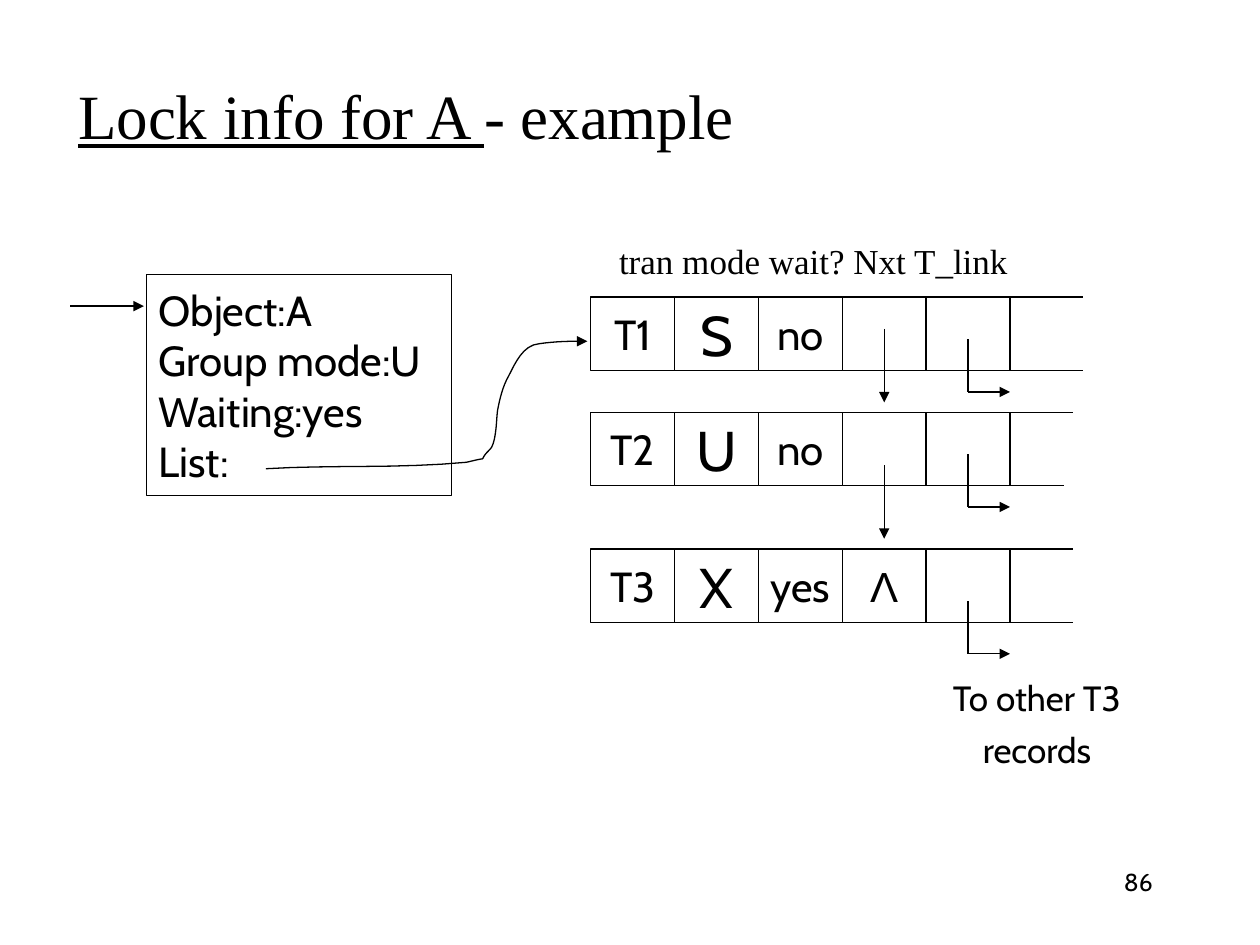
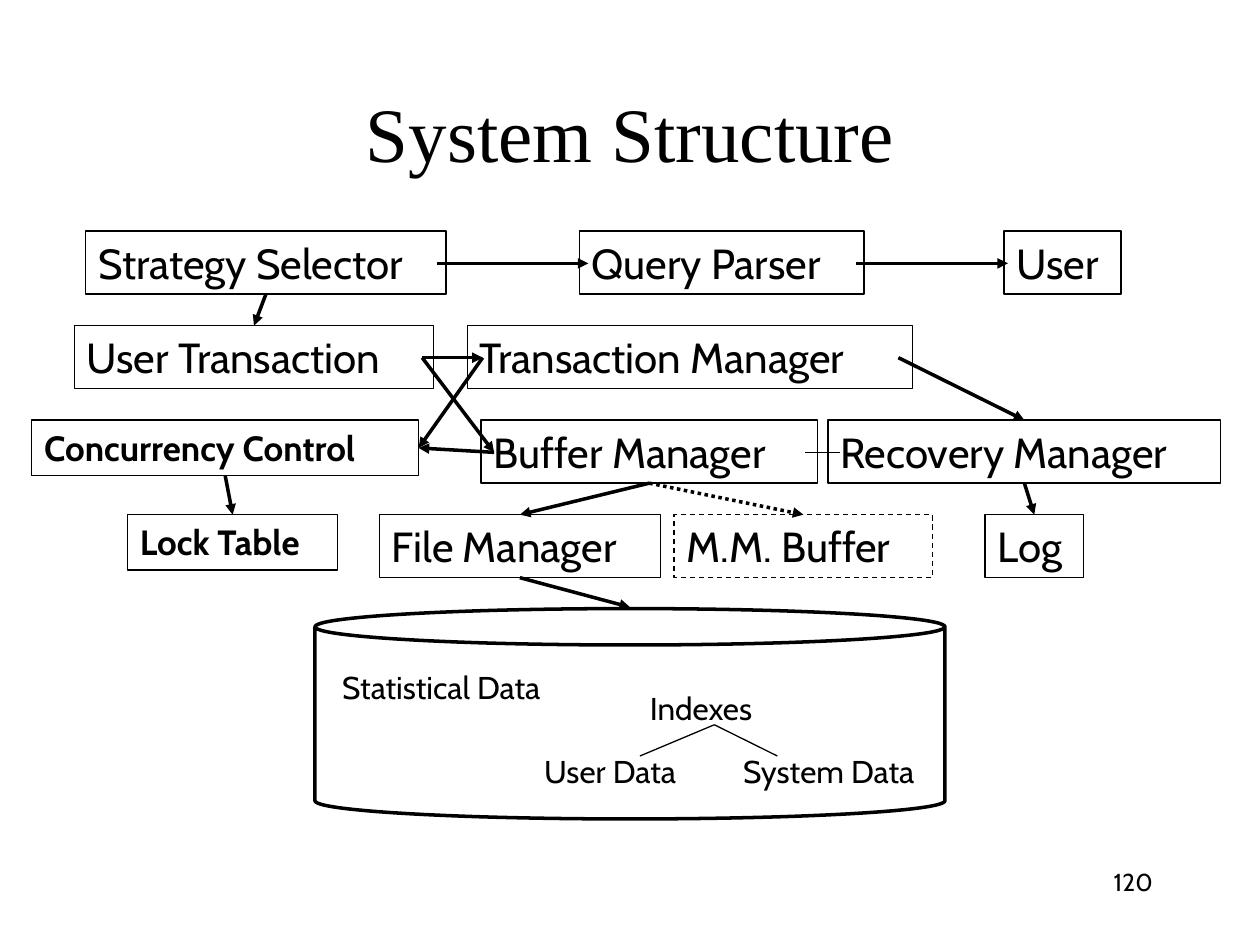
from lxml import etree
from pptx import Presentation
from pptx.dml.color import RGBColor
from pptx.enum.dml import MSO_LINE
from pptx.enum.shapes import MSO_CONNECTOR, MSO_SHAPE
from pptx.enum.text import MSO_ANCHOR, PP_ALIGN
from pptx.oxml.ns import qn
from pptx.util import Cm, Pt

BLACK = RGBColor(0x00, 0x00, 0x00)
WHITE = RGBColor(0xFF, 0xFF, 0xFF)
SERIF, SANS = "Times New Roman", "Cabin"
THIN, THICK = 0.75, 2
TOP, BOTTOM, RIGHT = 0, 2, 3


def add_label(slide, text, left, top, width, height, size, font=SANS, bold=False,
              align=PP_ALIGN.LEFT, anchor=MSO_ANCHOR.TOP, boxed=False, fill=None):
    """Add text, in an outlined rectangle if boxed."""
    area = Cm(left), Cm(top), Cm(width), Cm(height)
    if boxed:
        label = slide.shapes.add_shape(MSO_SHAPE.RECTANGLE, *area)
        label.shadow.inherit = False
        label.line.color.rgb = BLACK
        label.line.width = Pt(THIN)
        if fill is None:
            label.fill.background()
        else:
            label.fill.solid()
            label.fill.fore_color.rgb = fill
    else:
        label = slide.shapes.add_textbox(*area)
    frame = label.text_frame
    frame.text = text
    frame.word_wrap = align != PP_ALIGN.CENTER
    frame.vertical_anchor = anchor
    for paragraph in frame.paragraphs:
        paragraph.alignment = align
        for run in paragraph.runs:
            run.font.name = font
            run.font.size = Pt(size)
            run.font.bold = bold
            run.font.color.rgb = BLACK
    return label


def add_line(slide, start, end, width=THIN, arrow=True, dash=None):
    """Draw a line; each end is an (x, y) point in cm or a (shape, side) pair."""
    line = slide.shapes.add_connector(MSO_CONNECTOR.STRAIGHT, 0, 0, 0, 0)
    if isinstance(start[0], (int, float)):
        line.begin_x, line.begin_y = Cm(start[0]), Cm(start[1])
    else:
        line.begin_connect(*start)
    if isinstance(end[0], (int, float)):
        line.end_x, line.end_y = Cm(end[0]), Cm(end[1])
    else:
        line.end_connect(*end)
    line.line.color.rgb = BLACK
    line.line.width = Pt(width)
    if dash:
        line.line.dash_style = dash
    properties = line._element.spPr
    if arrow:
        etree.SubElement(properties.find(qn("a:ln")), qn("a:tailEnd"), type="triangle")
    etree.SubElement(properties, qn("a:effectLst"))


prs = Presentation()
prs.slide_width, prs.slide_height = Cm(25.4), Cm(19.05)

# Titles and page numbers: (underlined, plain) text, area, size, alignment, page
headings = [
    ("Lock info for A ", "- example", (1.32, 0.91, 21.59, 2.77), 36, PP_ALIGN.LEFT, "86"),
    ("", "System Structure", (1.91, 1.07, 21.59, 3.18), 44, PP_ALIGN.CENTER, "120"),
]
for underlined, plain, area, size, align, page in headings:
    slide = prs.slides.add_slide(prs.slide_layouts[5])
    title = slide.shapes.title
    title.left, title.top, title.width, title.height = [Cm(length) for length in area]
    title.text_frame.vertical_anchor = MSO_ANCHOR.MIDDLE
    paragraph = title.text_frame.paragraphs[0]
    paragraph.alignment = align
    for text, underline in ((underlined, True), (plain, False)):
        if text:
            run = paragraph.add_run()
            run.text = text
            run.font.name = SERIF
            run.font.size = Pt(size)
            run.font.underline = underline
            run.font.color.rgb = BLACK
    add_label(slide, page, 18.21, 17.35, 5.28, 1.27, 14, align=PP_ALIGN.RIGHT)

lock_info, system = prs.slides

# Lock info: the locked object
add_label(lock_info, "Object:A\nGroup mode:U\nWaiting:yes\nList:", 2.95, 5.54, 6.15, 4.45, 24,
          anchor=MSO_ANCHOR.MIDDLE, boxed=True, fill=WHITE)
add_line(lock_info, (1.42, 6.17), (2.9, 6.17))
add_label(lock_info, "tran mode wait? Nxt T_link", 12.23, 4.7, 8.7, 1.1, 20, font=SERIF)

# Lock info: one row of cells per transaction
CELL_LEFT, CELL_WIDTH, CELL_HEIGHT = 11.91, 1.69, 1.48
row_right = CELL_LEFT + 5 * CELL_WIDTH
next_x = CELL_LEFT + 3.5 * CELL_WIDTH
link_x = CELL_LEFT + 4.5 * CELL_WIDTH
# cells, top, tail length, bottom tail start, start of Nxt arrow, start of T_link arrow
records = [
    (("T1", "S", "no", "", ""), 5.99, 1.48, row_right, 0.64, 0.85),
    (("T2", "U", "no", "", ""), 8.31, 1.27, 20.17, 1.07, 0.85),
    (("T3", "X", "yes", "Λ", ""), 11.07, 1.27, row_right, None, 1.05),
]
for cells, top, tail, bottom_start, next_start, link_start in records:
    for column, text in enumerate(cells):
        add_label(lock_info, text, CELL_LEFT + column * CELL_WIDTH, top, CELL_WIDTH, CELL_HEIGHT,
                  32 if column == 1 else 24, font="Arial" if text == "Λ" else SANS,
                  align=PP_ALIGN.CENTER, anchor=MSO_ANCHOR.MIDDLE, boxed=True, fill=WHITE)
    bottom = top + CELL_HEIGHT
    add_line(lock_info, (row_right, top), (row_right + tail, top), arrow=False)
    add_line(lock_info, (bottom_start, bottom), (bottom_start + tail, bottom), arrow=False)
    if next_start:
        add_line(lock_info, (next_x, top + next_start), (next_x, top + next_start + 1.48))
    link_bottom = top + link_start + 1.06
    add_line(lock_info, (link_x, top + link_start), (link_x, link_bottom), arrow=False)
    add_line(lock_info, (link_x, link_bottom), (row_right, link_bottom))

other_records = add_label(lock_info, "To other T3\nrecords", 18.67, 13.51, 4.47, 2.13, 20,
                          align=PP_ALIGN.CENTER)
last_line = other_records.text_frame.paragraphs[1]
last_line.space_before = Pt(12.5)
last_line.line_spacing = 0.7

# Lock info: curved arrow from List to T1, as cubic Bézier pieces
list_start = (5.36, 9.45)
list_curves = [
    ((6.71, 9.37), (8.05, 9.45), (9.4, 9.32)),
    ((9.5, 9.3), (9.6, 9.27), (9.73, 9.25)),
    ((9.78, 9.14), (9.86, 9.09), (9.91, 9.02)),
    ((10.01, 8.84), (10.01, 8.43), (10.03, 8.28)),
    ((10.08, 8.03), (10.13, 7.8), (10.26, 7.57)),
    ((10.39, 7.32), (10.54, 6.96), (10.87, 6.93)),
    ((11.23, 6.88), (11.46, 6.88), (11.84, 6.88)),
]
STEPS = 8
curve_points = []
p0 = list_start
for p1, p2, p3 in list_curves:
    for step in range(1, STEPS + 1):
        t = step / STEPS
        u = 1 - t
        curve_points.append([Cm(u**3 * a + 3 * u * u * t * b + 3 * u * t * t * c + t**3 * d)
                             for a, b, c, d in zip(p0, p1, p2, p3)])
    p0 = p3
builder = lock_info.shapes.build_freeform(Cm(list_start[0]), Cm(list_start[1]))
builder.add_line_segments(curve_points, close=False)
list_arrow = builder.convert_to_shape()
list_arrow.shadow.inherit = False
list_arrow.fill.background()
list_arrow.line.color.rgb = BLACK
list_arrow.line.width = Pt(THIN)
etree.SubElement(list_arrow._element.spPr.find(qn("a:ln")), qn("a:tailEnd"), type="triangle")

# System structure: components by row, as (name, left, width)
component_rows = [
    [("Strategy Selector", 1.73, 7.26), ("Query Parser", 11.68, 5.74), ("User", 20.24, 2.36)],
    [("User Transaction", 1.5, 7.24), ("Transaction Manager", 9.42, 8.97)],
    [("Concurrency Control", 0.64, 7.8), ("Buffer Manager", 9.7, 6.78),
     ("Recovery Manager", 16.69, 7.92)],
    [("Lock Table", 2.57, 4.24), ("File Manager", 7.65, 5.66), ("M.M. Buffer", 13.59, 5.21),
     ("Log", 19.86, 1.98)],
]
components = {}
for row, members in enumerate(component_rows):
    for name, left, width in members:
        locking = name in ("Concurrency Control", "Lock Table")
        components[name] = add_label(system, name, left, 4.66 + row * 1.905, width,
                                     1.12 if locking else 1.27, 20 if locking else 24,
                                     bold=locking, boxed=True)
components["M.M. Buffer"].line.dash_style = MSO_LINE.DASH

# System structure: database
database = system.shapes.add_shape(MSO_SHAPE.CAN, Cm(6.35), Cm(12.27), Cm(12.7), Cm(4.24))
database.adjustments[0] = 0.173
database.shadow.inherit = False
database.fill.background()
database.line.color.rgb = BLACK
database.line.width = Pt(THICK)
for name, left, top, width in [
    ("Statistical Data", 6.65, 13.34, 4.93),
    ("Indexes", 12.85, 13.77, 2.84),
    ("User Data", 10.72, 15.04, 3.45),
    ("System Data", 14.73, 15.04, 4.24),
]:
    add_label(system, name, left, top, width, 1.02, 18)
for data_top in [(12.9, 15.24), (15.67, 15.24)]:
    add_line(system, (14.4, 14.61), data_top, arrow=False)

# System structure: arrows between components
user_exit, manager_entry, buffer_entry = (8.51, 7.21), (9.73, 7.21), (9.96, 9.12)
concurrency_entry = (components["Concurrency Control"], RIGHT)
flows = [
    ((8.81, 5.31), (11.86, 5.31)),
    ((17.25, 5.31), (20.32, 5.31)),
    (user_exit, manager_entry),
    (user_exit, buffer_entry),
    (manager_entry, concurrency_entry),
    (buffer_entry, concurrency_entry),
    ((18.11, 7.21), (components["Recovery Manager"], TOP)),
    ((components["File Manager"], BOTTOM), (12.7, 12.24)),
]
for upper, lower in [
    ("Strategy Selector", "User Transaction"),
    ("Buffer Manager", "File Manager"),
    ("Concurrency Control", "Lock Table"),
    ("Recovery Manager", "Log"),
]:
    flows.append(((components[upper], BOTTOM), (components[lower], TOP)))
for start, end in flows:
    add_line(system, start, end, THICK)
add_line(system, (components["Buffer Manager"], BOTTOM), (components["M.M. Buffer"], TOP),
         THICK, dash=MSO_LINE.ROUND_DOT)
add_line(system, (16.23, 9.12), (16.94, 9.12), arrow=False)

prs.save("out.pptx")
